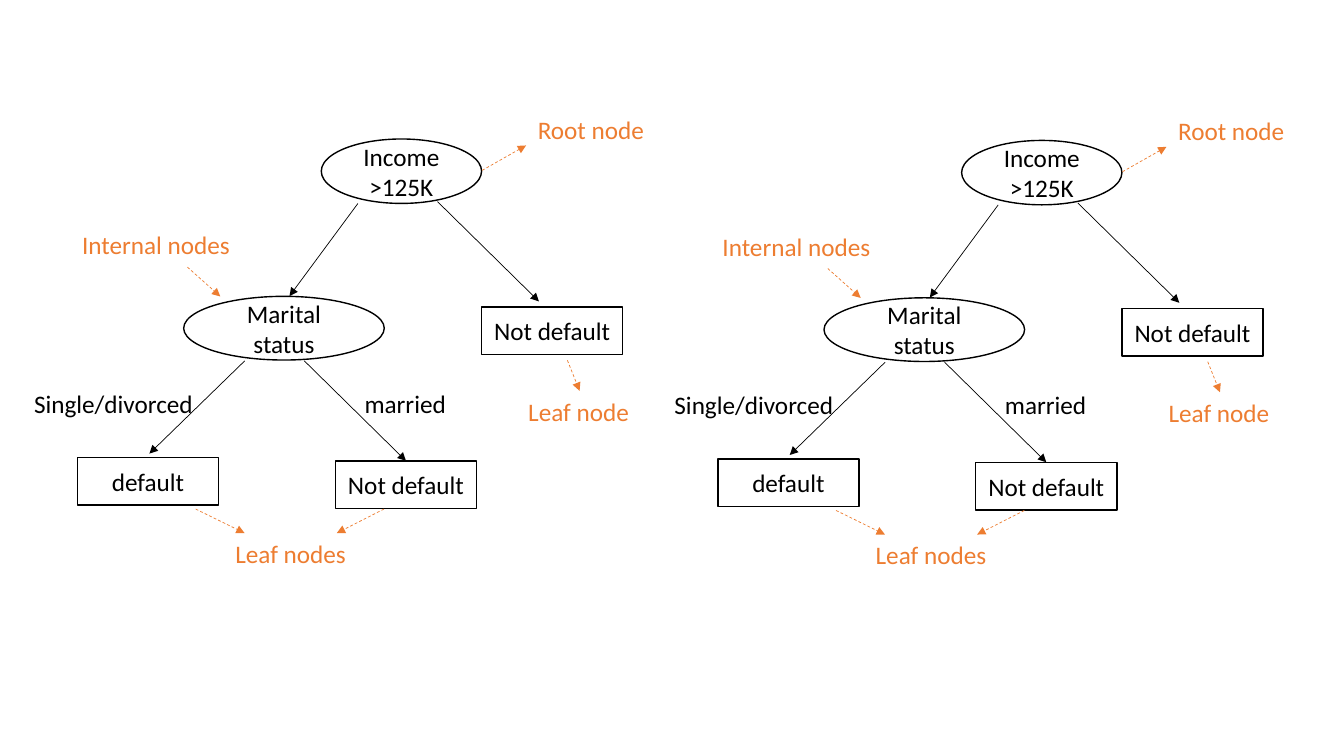
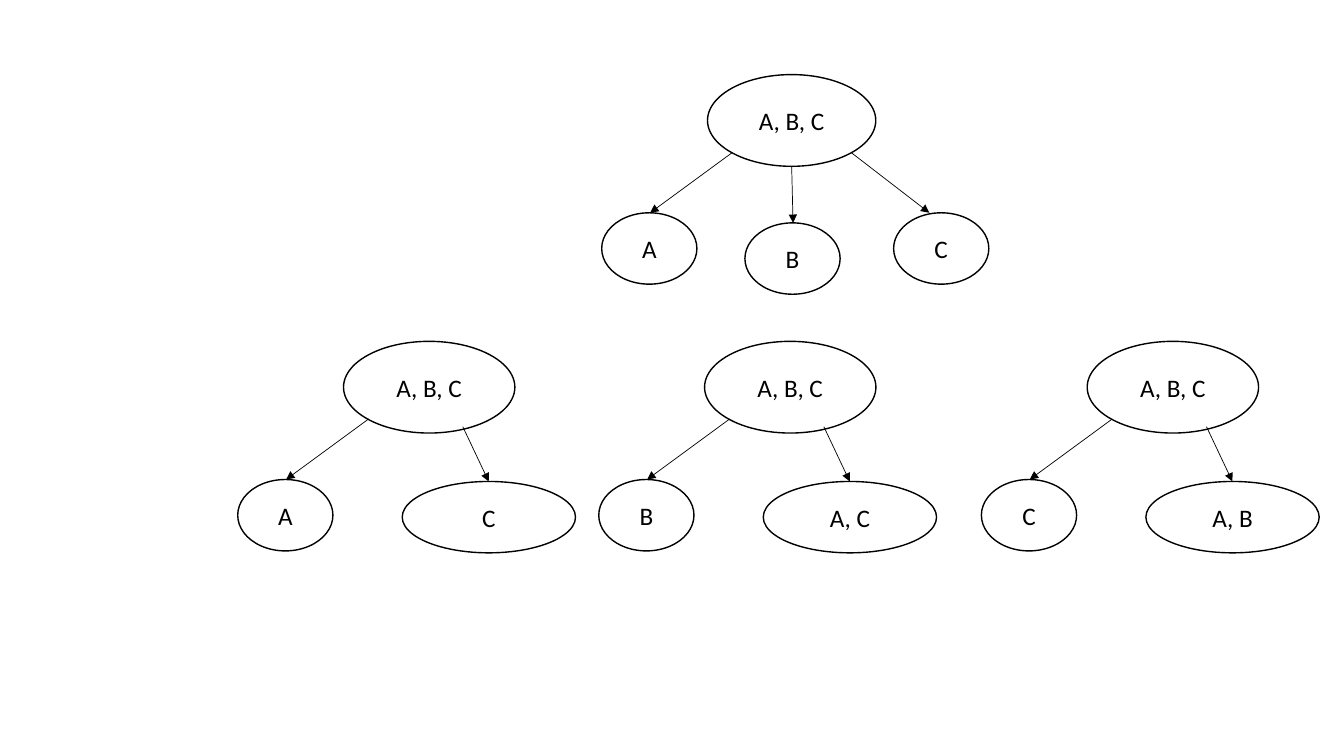
"""Two slides of decision tree diagrams."""
from dataclasses import dataclass

from pptx import Presentation
from pptx import slide as sl
from pptx.dml import color, line as rule
from pptx.enum import dml, shapes, text
from pptx.oxml import ns, xmlchemy as xml
from pptx.shapes import autoshape as auto, group
from pptx.util import Pt


@dataclass(frozen=True)
class Theme:
    """Colours, type and line widths shared by the slides."""
    ink: color.RGBColor = color.RGBColor(0, 0, 0)
    accent: color.RGBColor = color.RGBColor(0xED, 0x7D, 0x31)
    font: str = "Calibri"
    size: float = 18
    edge: float = 1
    thin: float = 0.5


@dataclass(frozen=True)
class Node:
    """An outlined, labelled node."""
    label: str
    x: float
    y: float
    w: float
    h: float
    kind: shapes.MSO_SHAPE = shapes.MSO_SHAPE.OVAL


@dataclass(frozen=True)
class Arrow:
    """An arrow between two points; hints are dashed and accented."""
    x: float
    y: float
    to_x: float
    to_y: float
    hint: bool = False


@dataclass(frozen=True)
class Note:
    """A free label on one line."""
    label: str
    x: float
    y: float
    w: float
    hint: bool = True


@dataclass(frozen=True)
class Tree:
    """All the parts of one diagram."""
    nodes: list[Node]
    arrows: list[Arrow]
    notes: list[Note]


THEME = Theme()
NOTE_H = 29
LEAF_W, LEAF_H = 100.8, 34
KID_W, KID_H = 68, 51
ROOT_H = 65.5


def pick(hint: bool) -> color.RGBColor:
    """Return the colour for hints or for plain parts."""
    return THEME.accent if hint else THEME.ink


def apply(item: object, style: dict[str, object]) -> None:
    """Set each named format value on an item."""
    for name, value in style.items():
        setattr(item, name, value)


def stroke(line: rule.LineFormat, width: float, tint: color.RGBColor) -> None:
    """Give a line its width and colour."""
    line.width = Pt(width)
    line.color.rgb = tint


def write(shape: auto.Shape, label: str, tint: color.RGBColor,
          align: text.PP_ALIGN, frame: dict[str, object]) -> None:
    """Fill a shape with one styled paragraph."""
    apply(shape.text_frame, frame)
    para = shape.text_frame.paragraphs[0]
    para.alignment = align
    run = para.add_run()
    run.text = label
    apply(run.font, {"name": THEME.font, "size": Pt(THEME.size)})
    run.font.color.rgb = tint


def add_node(out: group.GroupShape, node: Node, dx: float, dy: float) -> None:
    """Draw an outlined node with centred text."""
    shape = out.shapes.add_shape(node.kind, Pt(node.x + dx), Pt(node.y + dy),
                                 Pt(node.w), Pt(node.h))
    shape.shadow.inherit = False
    shape.fill.background()
    stroke(shape.line, THEME.edge, THEME.ink)
    write(shape, node.label, THEME.ink, text.PP_ALIGN.CENTER,
          {"word_wrap": True, "vertical_anchor": text.MSO_ANCHOR.MIDDLE})


def add_arrow(out: group.GroupShape, arrow: Arrow, dx: float, dy: float) -> None:
    """Draw a thin line with a triangle at its far end."""
    link = out.shapes.add_connector(
        shapes.MSO_CONNECTOR.STRAIGHT, Pt(arrow.x + dx), Pt(arrow.y + dy),
        Pt(arrow.to_x + dx), Pt(arrow.to_y + dy))
    stroke(link.line, THEME.thin, pick(arrow.hint))
    if arrow.hint:
        link.line.dash_style = dml.MSO_LINE.DASH
    props = link.element.spPr
    head = xml.OxmlElement("a:tailEnd")
    head.set("type", "triangle")
    props.find(ns.qn("a:ln")).append(head)
    props.append(xml.OxmlElement("a:effectLst"))


def add_note(out: group.GroupShape, note: Note, dx: float, dy: float) -> None:
    """Draw a label that does not wrap."""
    box = out.shapes.add_textbox(Pt(note.x + dx), Pt(note.y + dy),
                                 Pt(note.w), Pt(NOTE_H))
    write(box, note.label, pick(note.hint), text.PP_ALIGN.LEFT,
          {"word_wrap": False, "auto_size": text.MSO_AUTO_SIZE.SHAPE_TO_FIT_TEXT})


def draw(page: sl.Slide, tree: Tree, dx: float = 0, dy: float = 0) -> None:
    """Draw a tree as one group, moved by dx and dy."""
    out = page.shapes.add_group_shape()
    for parts, add in ((tree.nodes, add_node), (tree.arrows, add_arrow),
                       (tree.notes, add_note)):
        for part in parts:
            add(out, part, dx, dy)


def leaf(label: str, x: float, y: float) -> Node:
    """Make a boxed leaf of the loan tree."""
    return Node(label, x, y, LEAF_W, LEAF_H, shapes.MSO_SHAPE.RECTANGLE)


def split(left: str, right: str) -> Tree:
    """Make a two-way split, placed from its root's corner."""
    return Tree(
        [Node("A, B, C", 0, 0, 122.4, ROOT_H),
         Node(left, -75.6, 98.7, KID_W, KID_H),
         Node(right, 41.9, 100.1, 123.8, KID_H)],
        [Arrow(18, 55.4, -41, 98.7), Arrow(85.2, 61, 103.7, 100.1)], [])


LOAN = Tree(
    [Node("Income >125K", 229.5, 99.3, 114.5, 46),
     Node("Marital status", 131.2, 211.7, 143.3, 45.5),
     leaf("default", 55.4, 326.8),
     leaf("Not default", 239.6, 329.2),
     leaf("Not default", 344, 219.3)],
    [Arrow(255.6, 145.4, 206.8, 211.5),
     Arrow(312.5, 144, 385, 215.3),
     Arrow(174.8, 257.8, 106.7, 324),
     Arrow(217.4, 257.8, 290, 329.2),
     Arrow(344.4, 121.7, 375.8, 103.9, True),
     Arrow(139.8, 363.6, 174.7, 380.8, True),
     Arrow(274.3, 363.6, 240.6, 380.8, True),
     Arrow(405.3, 257.4, 414, 279.2, True),
     Arrow(133.9, 190.8, 157.4, 211.8, True)],
    [Note("Root node", 377.1, 78, 91.4),
     Note("Leaf nodes", 161, 380.8, 94.3),
     Note("Leaf node", 370.2, 279.2, 87.8),
     Note("Internal nodes", 51.6, 160.4, 121),
     Note("Single/divorced", 17.3, 273.6, 129.6, False),
     Note("married", 253.3, 273.6, 73.4, False)])

FAN = Tree(
    [Node("A, B, C", 505.4, 53.3, 120.2, ROOT_H),
     Node("A", 429.8, 152, KID_W, KID_H),
     Node("B", 532.1, 159.2, KID_W, KID_H),
     Node("C", 638.3, 152, KID_W, KID_H)],
    [Arrow(523.2, 108.9, 464.4, 152),
     Arrow(565.5, 118.8, 566.5, 159.2),
     Arrow(607.9, 108.9, 663.8, 152)], [])

SPLITS = [(245.4, "A", "C"), (503.3, "B", "A, C"), (776.6, "C", "A, B")]


def main() -> None:
    """Build and save the slides."""
    deck = Presentation()
    apply(deck, {"slide_width": Pt(960), "slide_height": Pt(540)})
    loan, sets = (deck.slides.add_slide(deck.slide_layouts[6]) for _ in range(2))
    draw(loan, LOAN)
    draw(loan, LOAN, 457.4, 1)
    draw(sets, FAN)
    for x, left, right in SPLITS:
        draw(sets, split(left, right), x, 243.8)
    deck.save("out.pptx")


main()
